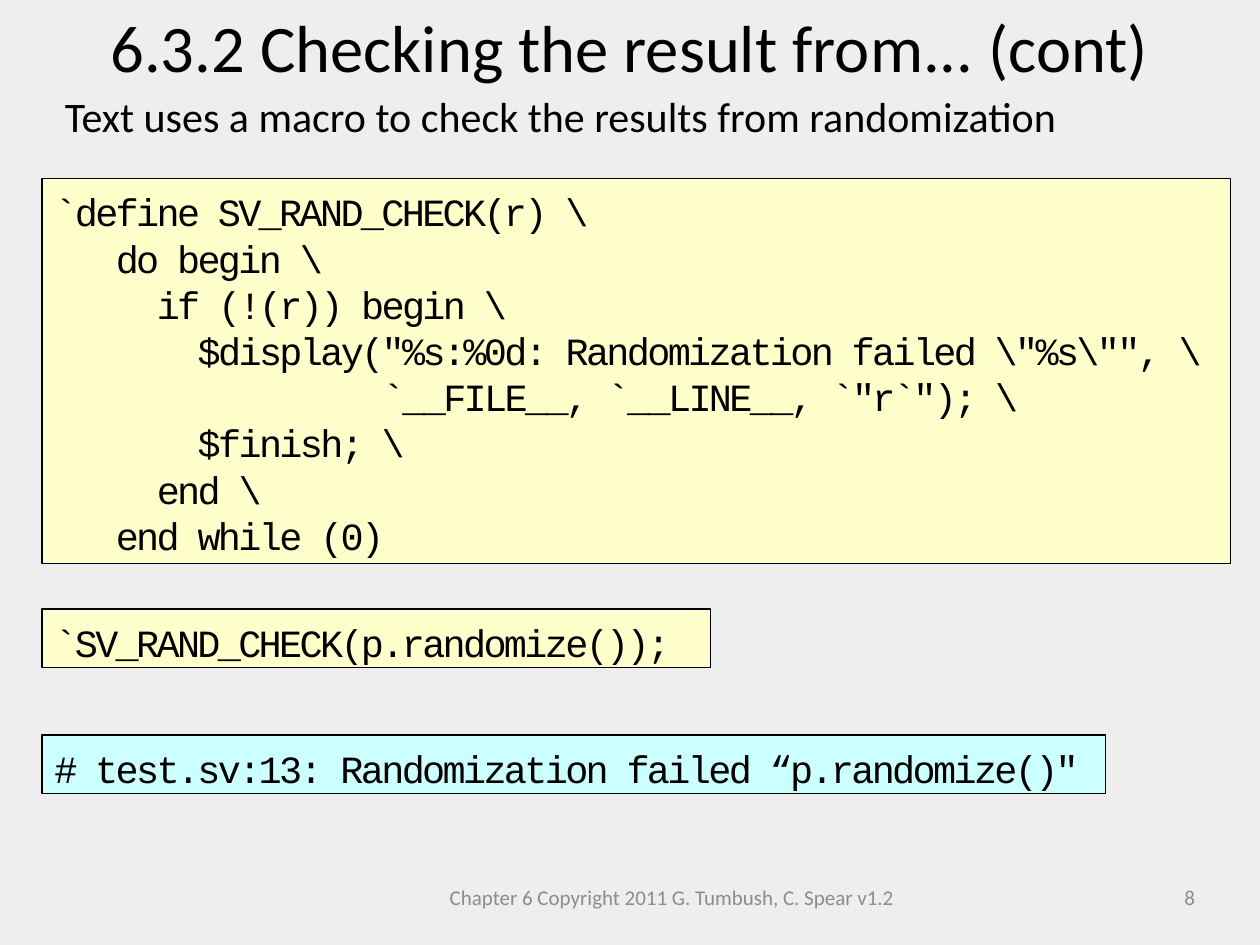
"""Build a slide on checking randomization results with a macro."""
import pptx
import pptx.dml.color
import pptx.enum.shapes
import pptx.enum.text
import pptx.util

BACKGROUND = pptx.dml.color.RGBColor(0xEE, 0xEE, 0xEE)
BLACK = pptx.dml.color.RGBColor(0x00, 0x00, 0x00)
GREY = pptx.dml.color.RGBColor(0x8C, 0x8C, 0x8C)
YELLOW = pptx.dml.color.RGBColor(0xFF, 0xFF, 0xCC)
CYAN = pptx.dml.color.RGBColor(0xCC, 0xFF, 0xFF)
ALIGN = pptx.enum.text.PP_ALIGN
ANCHOR = pptx.enum.text.MSO_ANCHOR

CODE_SIZE = 22
CODE_TRACKING = -1.5
CODE_ADVANCE = 0.6 * CODE_SIZE + CODE_TRACKING
CODE_LEADING = 1.2 * CODE_SIZE

deck = pptx.Presentation()
deck.slide_width = pptx.util.Inches(10)
deck.slide_height = pptx.util.Inches(7.5)
COLUMN = deck.slide_width / 120
ROW = deck.slide_height / 90
page = deck.slides.add_slide(deck.slide_layouts[6])
page.background.fill.solid()
page.background.fill.fore_color.rgb = BACKGROUND


def grid(left, top, width, height):
    """Turn grid columns and rows into slide lengths."""
    return int(left * COLUMN), int(top * ROW), int(width * COLUMN), int(height * ROW)


def write(para, text, size=CODE_SIZE, font="Calibri", color=BLACK, align=ALIGN.LEFT,
          tracking=0, indent=0, leading=None):
    """Add one formatted span of text to a paragraph."""
    para.alignment = align
    if leading:
        para.line_spacing = pptx.util.Pt(leading)
    if indent:
        properties = para._p.get_or_add_pPr()
        properties.set("marL", str(int(pptx.util.Pt(indent))))
        properties.set("indent", "0")
    span = para.add_run()
    span.text = text
    span.font.size = pptx.util.Pt(size)
    span.font.name = font
    span.font.color.rgb = color
    if tracking:
        span.font._element.set("spc", str(int(tracking * 100)))


labels = [
    ("6.3.2 Checking the result from... (cont)", (0, 0, 120, 8.9), 38, BLACK, ALIGN.CENTER, ANCHOR.TOP),
    ("Text uses a macro to check the results from randomization", (5, 8, 111, 6), 24, BLACK,
     ALIGN.LEFT, ANCHOR.TOP),
    ("Chapter 6 Copyright 2011 G. Tumbush, C. Spear v1.2", (41, 83, 46, 4.8), 12, GREY,
     ALIGN.CENTER, ANCHOR.MIDDLE),
    ("8", (87, 83, 28, 4.8), 12, GREY, ALIGN.RIGHT, ANCHOR.MIDDLE),
]
for text, place, size, color, align, anchor in labels:
    box = page.shapes.add_textbox(*grid(*place))
    box.text_frame.word_wrap = True
    box.text_frame.vertical_anchor = anchor
    write(box.text_frame.paragraphs[0], text, size=size, color=color, align=align)

macro = [
    (0, "`define SV_RAND_CHECK(r) \\"),
    (3, "do begin \\"),
    (5, "if (!(r)) begin \\"),
    (7, "$display(\"%s:%0d: Randomization failed \\\"%s\\\"\", \\"),
    (16, "`__FILE__, `__LINE__, `\"r`\"); \\"),
    (7, "$finish; \\"),
    (5, "end \\"),
    (3, "end while (0)"),
]
listings = [
    (macro, (4, 17, 113.2, 36.7), YELLOW),
    ([(0, "`SV_RAND_CHECK(p.randomize());")], (4, 58, 63.7, 5.6), YELLOW),
    ([(0, "# test.sv:13: Randomization failed “p.randomize()\"")], (4, 70, 101.3, 5.6), CYAN),
]
for lines, place, fill in listings:
    box = page.shapes.add_shape(pptx.enum.shapes.MSO_SHAPE.RECTANGLE, *grid(*place))
    box.shadow.inherit = False
    box.fill.solid()
    box.fill.fore_color.rgb = fill
    box.line.color.rgb = BLACK
    box.line.width = pptx.util.Pt(0.75)
    frame = box.text_frame
    frame.word_wrap = True
    frame.vertical_anchor = ANCHOR.TOP
    frame.margin_top = pptx.util.Inches(0.08)
    frame.margin_bottom = pptx.util.Inches(0.02)
    for number, (depth, text) in enumerate(lines):
        para = frame.add_paragraph() if number else frame.paragraphs[0]
        write(para, text, font="Courier New", tracking=CODE_TRACKING,
              indent=depth * CODE_ADVANCE, leading=CODE_LEADING)

deck.save("out.pptx")
